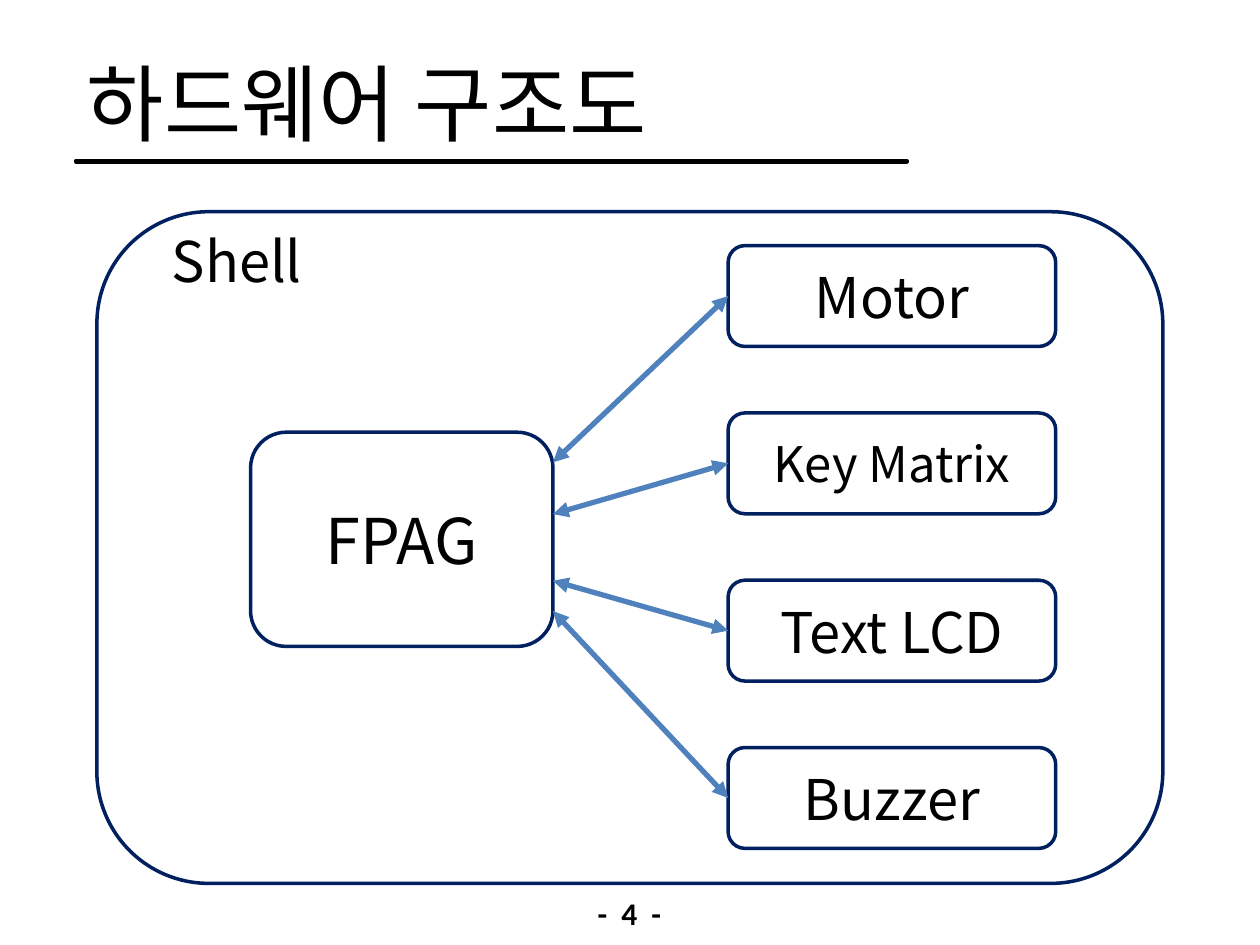
from lxml.etree import SubElement
from pptx import Presentation
from pptx.dml.color import RGBColor
from pptx.enum.shapes import MSO_CONNECTOR, MSO_SHAPE
from pptx.enum.text import MSO_ANCHOR, MSO_AUTO_SIZE, PP_ALIGN
from pptx.oxml.ns import qn
from pptx.util import Pt

COLORS = {"text": "000000", "frame": "002060", "arrow": "4F81BD"}
LATIN_FONT = "Calibri"
DIAGRAM_FONT = "Noto Sans CJK KR"
LEFT_SIDE = 1  # connection site of a rounded rectangle

# label, font size, height of the arrow's start on the controller
PERIPHERALS = [
    ("Motor", 32, 264.2),
    ("Key Matrix", 28, 293.8),
    ("Text LCD", 32, 331.9),
    ("Buzzer", 32, 349.2),
]


def color(name):
    return RGBColor.from_string(COLORS[name])


def write(shape, text, size, font=DIAGRAM_FONT, align=PP_ALIGN.CENTER,
          anchor=MSO_ANCHOR.TOP, bold=False):
    frame = shape.text_frame
    frame.auto_size = MSO_AUTO_SIZE.NONE
    frame.word_wrap = True
    frame.vertical_anchor = anchor
    paragraph = frame.paragraphs[0]
    paragraph.text = text
    paragraph.alignment = align
    paragraph.font.name = font
    paragraph.font.size = Pt(size)
    paragraph.font.bold = bold
    paragraph.font.color.rgb = color("text")


def add_label(slide, box, text, size, **style):
    write(slide.shapes.add_textbox(*map(Pt, box)), text, size, **style)


def add_outline(slide, box):
    shape = slide.shapes.add_shape(MSO_SHAPE.ROUNDED_RECTANGLE, *map(Pt, box))
    shape.shadow.inherit = False
    shape.fill.background()
    shape.line.color.rgb = color("frame")
    shape.line.width = Pt(2)
    return shape


def add_block(slide, box, text, size):
    block = add_outline(slide, box)
    write(block, text, size, anchor=MSO_ANCHOR.MIDDLE)
    return block


def add_double_arrow(slide, x, y, target):
    """Join a point to the middle of the target's left side."""
    arrow = slide.shapes.add_connector(
        MSO_CONNECTOR.STRAIGHT, Pt(x), Pt(y), target.left, target.top)
    arrow.end_connect(target, LEFT_SIDE)
    arrow.line.color.rgb = color("arrow")
    arrow.line.width = Pt(3)
    for end in ("a:headEnd", "a:tailEnd"):
        SubElement(arrow.line._get_or_add_ln(), qn(end), type="triangle")
    SubElement(arrow._element.spPr, qn("a:effectLst"))


def add_heading(slide, box, text):
    title = slide.shapes.title
    title.left, title.top, title.width, title.height = map(Pt, box)
    write(title, text, 48, font=LATIN_FONT, align=PP_ALIGN.LEFT)


def add_rule(slide, box):
    left, top, width, height = map(Pt, box)
    right, bottom = left + width, top + height
    builder = slide.shapes.build_freeform(left, top)
    builder.add_line_segments([(right, top), (right, bottom), (left, bottom)])
    rule = builder.convert_to_shape()
    rule.shadow.inherit = False
    rule.fill.solid()
    rule.fill.fore_color.rgb = color("text")
    rule.line.color.rgb = color("text")
    rule.line.width = Pt(2)


def add_diagram(slide, box):
    left, top, width, height = box
    controller_left, controller_width = left + 87.8, 172.8
    add_block(slide, (controller_left, top + 126, controller_width, 122.4), "FPAG", 36)

    pitch = 95.6
    for index, (name, size, start) in enumerate(PERIPHERALS):
        block_box = (left + 360.7, top + 19.4 + index * pitch, 187.2, 57.6)
        block = add_block(slide, block_box, name, size)
        add_double_arrow(slide, controller_left + controller_width, start, block)

    add_outline(slide, box)
    add_label(slide, (left + 13.7, top + 5, 132.5, 46), "Shell", 32)


def main():
    presentation = Presentation()
    presentation.slide_width, presentation.slide_height = Pt(720), Pt(540)
    slide = presentation.slides.add_slide(presentation.slide_layouts[5])
    add_heading(slide, (42.5, 25.9, 459.4, 64.8), "하드웨어 구조도")
    add_rule(slide, (43.2, 92, 475.2, 0.7))
    add_diagram(slide, (55.4, 121, 609.1, 383.8))
    add_label(slide, (291.6, 507.6, 136.1, 28.8), "-  4  -", 18,
              font=LATIN_FONT, bold=True)
    presentation.save("out.pptx")


if __name__ == "__main__":
    main()
